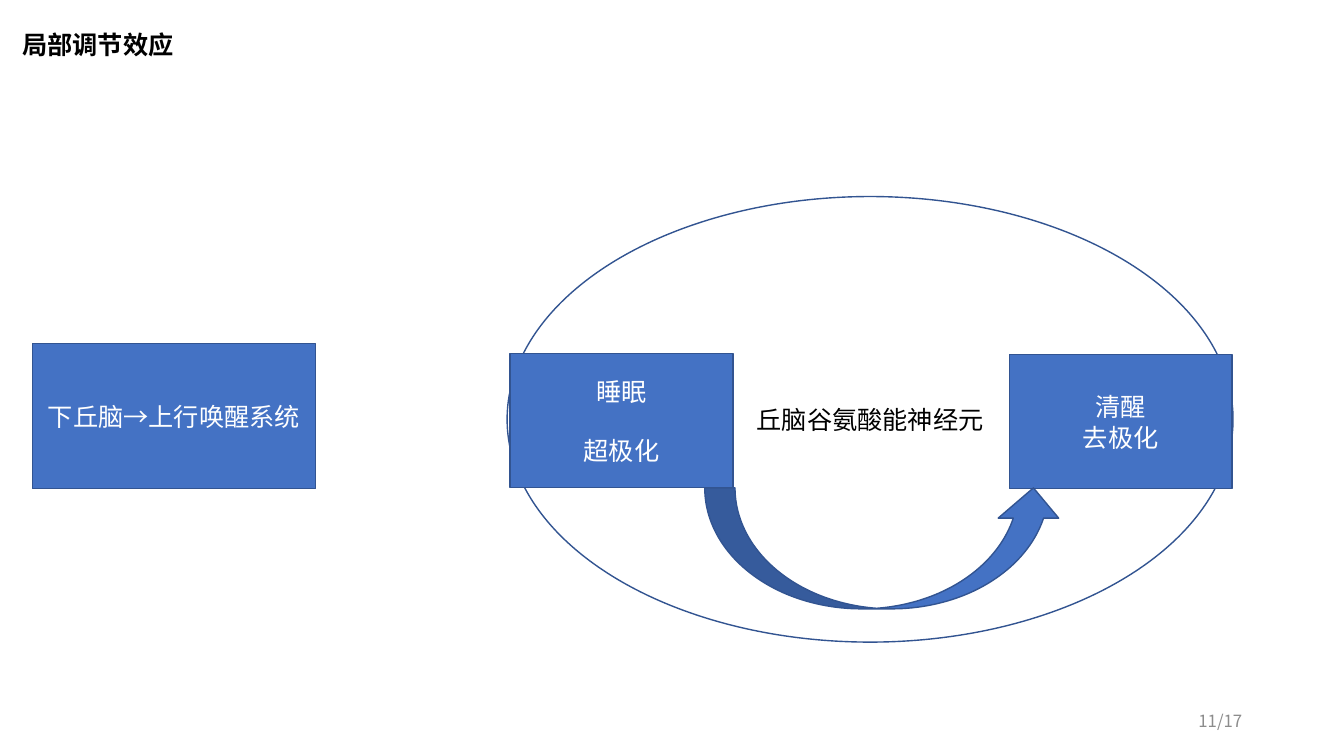
from pptx import Presentation
from pptx.dml.color import RGBColor
from pptx.enum.shapes import MSO_SHAPE as Shape
from pptx.enum.text import MSO_ANCHOR as Anchor, PP_ALIGN as Align
from pptx.oxml.ns import qn
from pptx.util import Emu, Pt
from lxml.etree import SubElement

PX_PER_INCH = 100
SCALE = 914400 // PX_PER_INCH


def rgb(value):
    return RGBColor.from_string(value)


class Deck:
    FONT = "Noto Sans CJK SC"
    BLUE, EDGE = "4472C4", "325491"
    WHITE, BLACK, GREY = "FFFFFF", "000000", "8C8C8C"

    def __init__(self, width, height):
        self.prs = Presentation()
        self.prs.slide_width = Emu(width * SCALE)
        self.prs.slide_height = Emu(height * SCALE)
        self.slide = self.prs.slides.add_slide(self.prs.slide_layouts[5])

    def emu(self, box):
        return [Emu(v * SCALE) for v in box]

    def set_text(self, sp, lines, color, align=Align.CENTER, size=18, bold=False,
                 anchor=Anchor.MIDDLE, gap=0):
        tf = sp.text_frame
        tf.word_wrap = True
        tf.vertical_anchor = anchor
        tf.text = "\n".join(lines)
        for i, p in enumerate(tf.paragraphs):
            p.alignment = align
            p.space_before = Pt(gap if i else 0)
            p.font.size = Pt(size)
            p.font.bold = bold
            p.font.color.rgb = rgb(color)
            p.font.name = self.FONT
            SubElement(p._p.pPr.find(qn("a:defRPr")), qn("a:ea"), typeface=self.FONT)

    def title(self, text, *box):
        sp = self.slide.shapes.title
        sp.left, sp.top, sp.width, sp.height = self.emu(box)
        self.set_text(sp, [text], self.BLACK, Align.LEFT, bold=True, anchor=Anchor.TOP)

    def shape(self, kind, *box, fill=BLUE):
        sp = self.slide.shapes.add_shape(kind, *self.emu(box))
        sp.shadow.inherit = False
        if fill:
            sp.fill.solid()
            sp.fill.fore_color.rgb = rgb(fill)
        else:
            sp.fill.background()
        sp.line.color.rgb = rgb(self.EDGE)
        sp.line.width = Pt(1)
        return sp

    def block(self, lines, *box, gap=0):
        self.set_text(self.shape(Shape.RECTANGLE, *box), lines, self.WHITE, gap=gap)

    def ellipse(self, text, *box):
        self.set_text(self.shape(Shape.OVAL, *box, fill=None), [text], self.BLACK)

    def curved_arrow(self, *box, rotation):
        self.shape(Shape.CURVED_RIGHT_ARROW, *box).rotation = rotation

    def page_number(self, text, *box):
        sp = self.slide.shapes.add_textbox(*self.emu(box))
        self.set_text(sp, [text], self.GREY, Align.RIGHT, size=12)


def main():
    deck = Deck(1333, 750)
    deck.ellipse("丘脑谷氨酸能神经元", 503, 195, 720, 442)
    deck.title("局部调节效应", 12, 24, 928, 40)
    deck.block(["下丘脑→上行唤醒系统"], 32, 341, 281, 144)
    deck.block(["睡眠", "超极化"], 506, 351, 221, 133, gap=21)
    deck.block(["清醒", "去极化"], 1001, 352, 221, 133)
    deck.curved_arrow(817, 366, 120, 356, rotation=270)
    deck.page_number("11/17", 942, 695, 300, 40)
    deck.prs.save("out.pptx")


if __name__ == "__main__":
    main()
